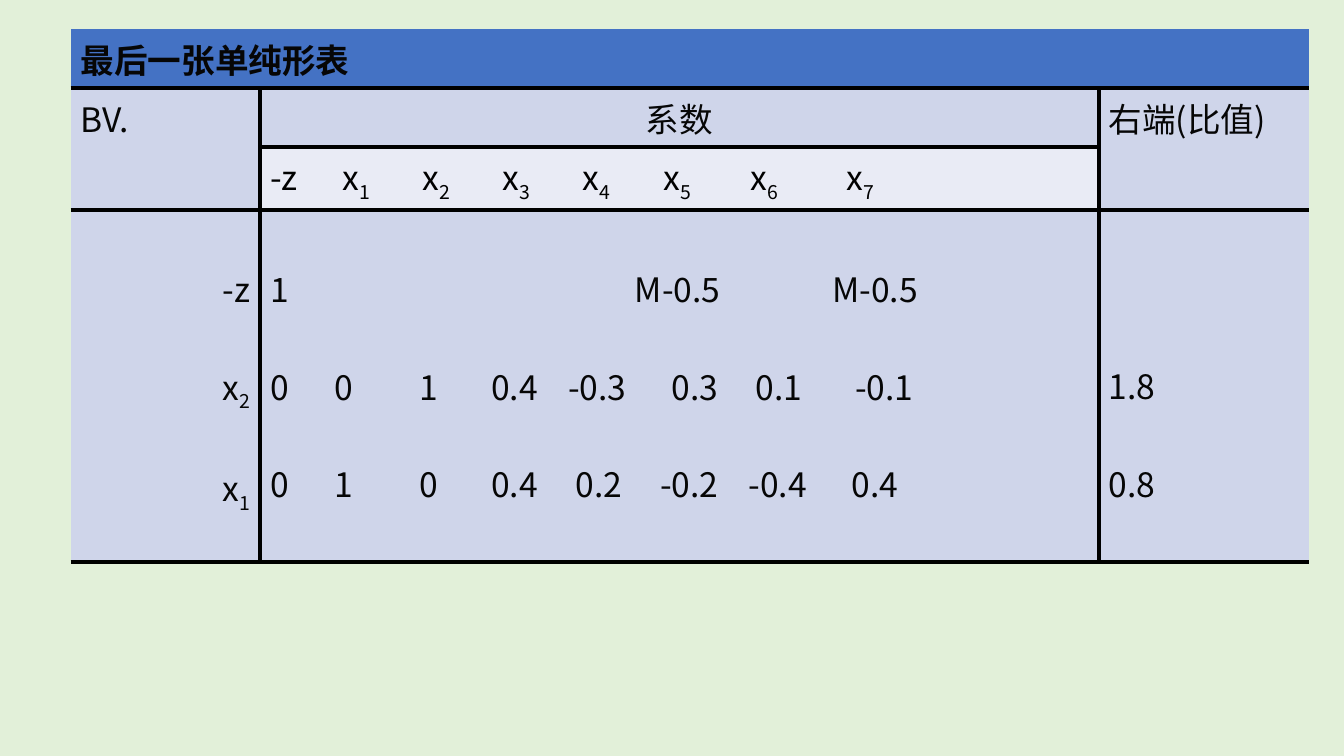
"""Build a slide that shows the final simplex tableau."""
from dataclasses import dataclass

from lxml import etree
from pptx import Presentation
from pptx.dml.color import RGBColor
from pptx.enum.text import PP_ALIGN
from pptx.oxml.ns import qn
from pptx.util import Pt

LEFT, CENTER, RIGHT = PP_ALIGN.LEFT, PP_ALIGN.CENTER, PP_ALIGN.RIGHT

BACKGROUND = RGBColor(0xE2, 0xF0, 0xD9)
TITLE_FILL = RGBColor(0x44, 0x72, 0xC4)
BAND_FILL = RGBColor(0xCF, 0xD5, 0xEA)
LIGHT_FILL = RGBColor(0xE9, 0xEB, 0xF5)
INK = RGBColor(0x06, 0x06, 0x06)
BLACK = RGBColor(0, 0, 0)

FONT = "Noto Sans CJK SC"
FONT_SIZE = 24
SUBSCRIPT = "-25000"
BORDER_WIDTH = 3
LINE_HEIGHT = 34.75
CELL_MARGIN = 3.6

TABLE_LEFT, TABLE_TOP = 50.4, 20.9
COLUMN_WIDTHS = (135.4, 599, 150.5)
ROW_HEIGHTS = (41.95, 41.95, 44.6, 251.3)
MERGES = (((0, 0), (0, 2)), ((1, 0), (2, 0)), ((1, 2), (2, 2)))


@dataclass(frozen=True)
class Line:
    """One line of text; an underscore lowers the next character."""

    text: str
    tabs: tuple[float, ...] = ()


@dataclass(frozen=True)
class TableauCell:
    """Content and look of one table cell."""

    row: int
    column: int
    lines: tuple[Line, ...]
    align: PP_ALIGN = LEFT
    color: RGBColor = INK
    bold: bool = False
    lines_above: int = 0


CELLS = (
    TableauCell(0, 0, (Line("最后一张单纯形表"),), bold=True),
    TableauCell(1, 0, (Line("BV."),)),
    TableauCell(1, 1, (Line("系数"),), align=CENTER),
    TableauCell(1, 2, (Line("右端(比值)"),)),
    TableauCell(
        2, 1,
        (Line("-z\tx_1\tx_2\tx_3\tx_4\tx_5\tx_6\tx_7", (52, 109, 166, 223, 281, 343, 412)),),
        color=BLACK,
    ),
    TableauCell(3, 0, (Line("-z"), Line("x_2"), Line("x_1")), align=RIGHT, lines_above=1),
    TableauCell(
        3, 1,
        (
            Line("1\tM-0.5\tM-0.5", (260.5, 401.5)),
            Line("0\t0\t1\t0.4\t-0.3\t0.3\t0.1\t-0.1", (45.6, 107, 158, 213, 287, 347, 418)),
            Line("0\t1\t0\t0.4\t0.2\t-0.2\t-0.4\t0.4", (45.6, 107, 158, 218.4, 278.6, 341.7, 415.5)),
        ),
        lines_above=1,
    ),
    TableauCell(3, 2, (Line("1.8"), Line("0.8")), lines_above=3),
)


def add_run(paragraph, text: str, style: TableauCell, lowered: bool = False) -> None:
    """Append one formatted run."""
    if not text:
        return
    run = paragraph.add_run()
    run.text = text
    run.font.size = Pt(FONT_SIZE)
    run.font.bold = style.bold
    run.font.color.rgb = style.color
    run.font.name = FONT
    properties = run.font._element
    etree.SubElement(properties, qn("a:ea")).set("typeface", FONT)
    if lowered:
        properties.set("baseline", SUBSCRIPT)


def write_line(paragraph, line: Line, style: TableauCell) -> None:
    """Write a line with its tab stops and subscripts."""
    if line.tabs:
        tab_list = etree.SubElement(paragraph._p.get_or_add_pPr(), qn("a:tabLst"))
        for position in line.tabs:
            tab = etree.SubElement(tab_list, qn("a:tab"))
            tab.set("pos", str(int(Pt(position))))
            tab.set("algn", "l")
    paragraph.alignment = style.align
    first, *rest = line.text.split("_")
    add_run(paragraph, first, style)
    for piece in rest:
        add_run(paragraph, piece[0], style, lowered=True)
        add_run(paragraph, piece[1:], style)


def write_cell(cell, content: TableauCell) -> None:
    """Fill a cell with its lines."""
    cell.margin_top = Pt(CELL_MARGIN + content.lines_above * LINE_HEIGHT)
    frame = cell.text_frame
    for index, line in enumerate(content.lines):
        paragraph = frame.add_paragraph() if index else frame.paragraphs[0]
        if index:
            paragraph.space_before = Pt(LINE_HEIGHT)
        write_line(paragraph, line, content)


def set_borders(cell, row: int, column: int) -> None:
    """Rule the inner edges and the bottom, leaving merged areas open."""
    side_column = column != 1
    edges = {
        "a:lnL": row > 0 and column > 0,
        "a:lnR": row > 0 and column < 2,
        "a:lnT": row > 0 and not (row == 2 and side_column),
        "a:lnB": not (row == 1 and side_column),
    }
    properties = cell._tc.get_or_add_tcPr()
    for tag, visible in edges.items():
        border = etree.SubElement(properties, qn(tag))
        border.set("w", str(int(Pt(BORDER_WIDTH))))
        if visible:
            fill = etree.SubElement(border, qn("a:solidFill"))
            etree.SubElement(fill, qn("a:srgbClr")).set("val", str(BLACK))
        else:
            etree.SubElement(border, qn("a:noFill"))


def fill_color(row: int, column: int) -> RGBColor:
    """Choose the fill of a cell."""
    if row == 0:
        return TITLE_FILL
    return LIGHT_FILL if (row, column) == (2, 1) else BAND_FILL


def add_tableau(slide) -> None:
    """Add the simplex table to the slide."""
    table = slide.shapes.add_table(
        len(ROW_HEIGHTS), len(COLUMN_WIDTHS), Pt(TABLE_LEFT), Pt(TABLE_TOP),
        Pt(sum(COLUMN_WIDTHS)), Pt(sum(ROW_HEIGHTS)),
    ).table
    for column, width in zip(table.columns, COLUMN_WIDTHS):
        column.width = Pt(width)
    for row, height in zip(table.rows, ROW_HEIGHTS):
        row.height = Pt(height)
    for start, end in MERGES:
        table.cell(*start).merge(table.cell(*end))
    for row in range(len(ROW_HEIGHTS)):
        for column in range(len(COLUMN_WIDTHS)):
            cell = table.cell(row, column)
            set_borders(cell, row, column)
            cell.fill.solid()
            cell.fill.fore_color.rgb = fill_color(row, column)
    for content in CELLS:
        write_cell(table.cell(content.row, content.column), content)


def main() -> None:
    """Create and save the presentation."""
    presentation = Presentation()
    presentation.slide_width, presentation.slide_height = Pt(960), Pt(540)
    slide = presentation.slides.add_slide(presentation.slide_layouts[6])
    slide.background.fill.solid()
    slide.background.fill.fore_color.rgb = BACKGROUND
    add_tableau(slide)
    presentation.save("out.pptx")


if __name__ == "__main__":
    main()
